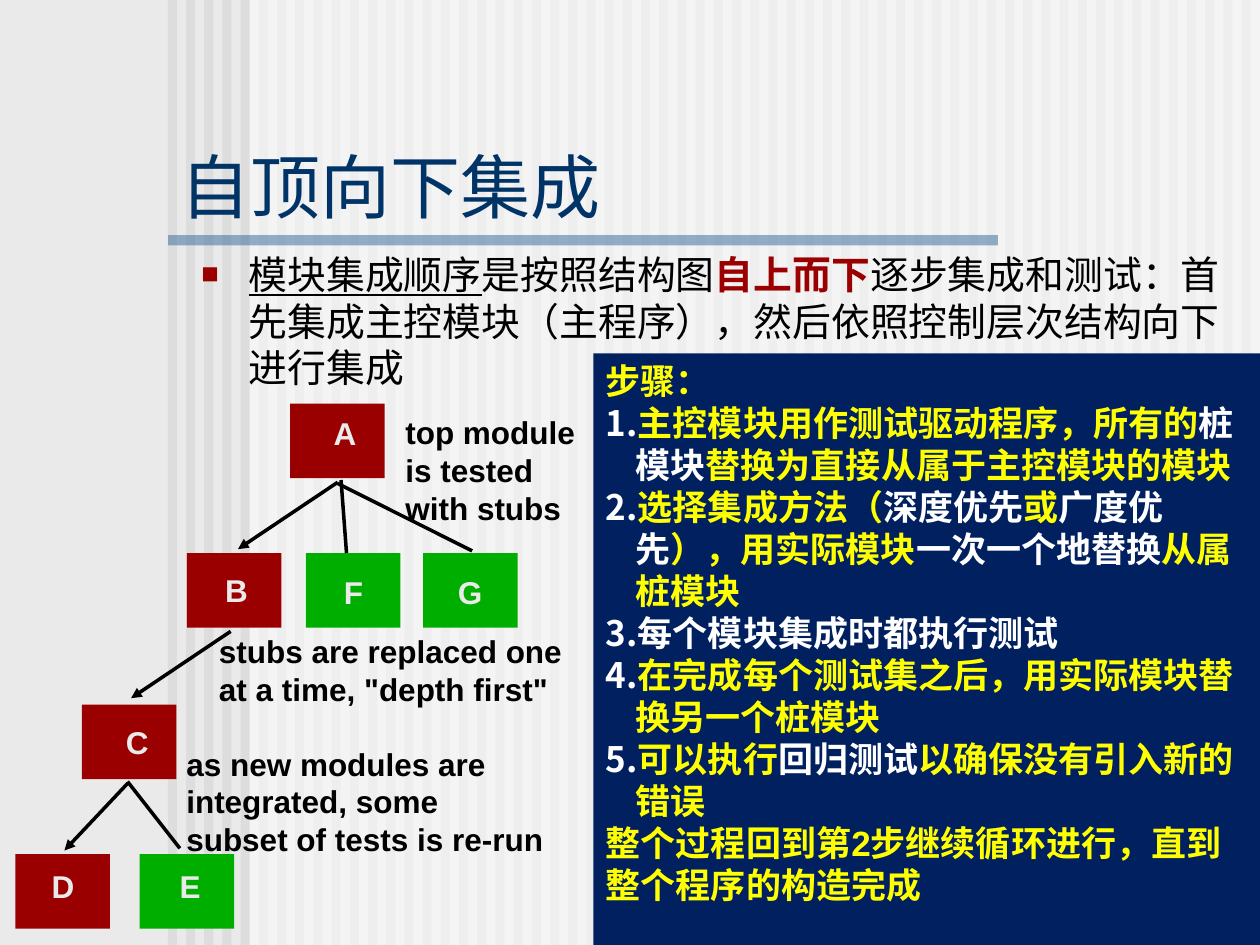
from lxml.etree import SubElement
from pptx import Presentation
from pptx.dml.color import RGBColor
from pptx.enum.shapes import MSO_CONNECTOR, MSO_SHAPE
from pptx.enum.text import MSO_ANCHOR, PP_ALIGN
from pptx.oxml.ns import qn
from pptx.util import Pt

BACKGROUND = RGBColor(0xEA, 0xEA, 0xEA)
STRIPE = RGBColor(0xDD, 0xDD, 0xDD)
WHITE = RGBColor(0xFF, 0xFF, 0xFF)
BLACK = RGBColor(0, 0, 0)
RULE_BLUE = RGBColor(0x33, 0x66, 0x99)
TITLE_BLUE = RGBColor(0x00, 0x33, 0x66)
PANEL_BLUE = RGBColor(0x00, 0x20, 0x60)
RED = RGBColor(0x9A, 0, 0)
GREEN = RGBColor(0, 0xAE, 0)
YELLOW = RGBColor(0xFF, 0xFF, 0)

presentation = Presentation()
presentation.slide_width, presentation.slide_height = Pt(720), Pt(540)
slide = presentation.slides.add_slide(presentation.slide_layouts[6])
slide.background.fill.solid()
slide.background.fill.fore_color.rgb = BACKGROUND


def add_rectangle(left, top, width, height, color, opacity=100):
    shape = slide.shapes.add_shape(
        MSO_SHAPE.RECTANGLE, Pt(left), Pt(top), Pt(width), Pt(height))
    shape.shadow.inherit = False
    shape.fill.solid()
    shape.fill.fore_color.rgb = color
    shape.line.fill.background()
    if opacity < 100:
        color_element = shape.fill._xPr.find(qn("a:solidFill"))[0]
        SubElement(color_element, qn("a:alpha"), val=str(opacity * 1000))
    return shape


def add_run(paragraph, text, size, color, bold=False):
    run = paragraph.add_run()
    run.text = text
    run.font.name = "Arial"
    run.font.size = Pt(size)
    run.font.bold = bold
    run.font.color.rgb = color
    return run


# Striped background
for index in range(60):
    add_rectangle(95.9 + index * 10.4, 0, 5.2, 540, STRIPE)
add_rectangle(142.6, 0, 577.4, 540, WHITE, 50)
add_rectangle(96, 134.4, 474.2, 5.8, RULE_BLUE, 50)

# Introduction with a square bullet
introduction = slide.shapes.add_textbox(Pt(108), Pt(139.7), Pt(612), Pt(89))
introduction.text_frame.word_wrap = True
paragraph = introduction.text_frame.paragraphs[0]
properties = paragraph._p.get_or_add_pPr()
properties.set("marL", str(Pt(27)))
properties.set("indent", str(Pt(-27)))
bullet_color = SubElement(properties, qn("a:buClr"))
SubElement(bullet_color, qn("a:srgbClr"), val=str(RED))
SubElement(properties, qn("a:buSzPct"), val="75000")
SubElement(properties, qn("a:buFont"), typeface="Arial")
SubElement(properties, qn("a:buChar"), char="■")
add_run(paragraph, "模块集成顺序", 22.2, BLACK).font.underline = True
add_run(paragraph, "是按照结构图", 22.2, BLACK)
add_run(paragraph, "自上而下", 22.2, RED, True)
add_run(paragraph, "逐步集成和测试：首先集成主控模块（主程序），然后依照控制层次结构向下进行集成",
        22.2, BLACK)

title = slide.shapes.add_textbox(Pt(96), Pt(83.6), Pt(624), Pt(50))
title.text_frame.word_wrap = True
title.text_frame.vertical_anchor = MSO_ANCHOR.BOTTOM
add_run(title.text_frame.paragraphs[0], "自顶向下集成", 40, TITLE_BLUE)

# Module tree: name, box left and top, label left and top, colour
modules = [
    ("A", 165.8, 230.6, 183.6, 233.3, RED),
    ("B", 106.8, 316, 121.6, 322.9, RED),
    ("C", 46.8, 402.7, 64.8, 409.9, RED),
    ("D", 8.8, 488, 22.4, 492, RED),
    ("E", 79.8, 488, 95.6, 492, GREEN),
    ("F", 174.8, 316, 189.4, 324, GREEN),
    ("G", 241.8, 316, 254.6, 324, GREEN),
]
for name, left, top, label_left, label_top, color in modules:
    add_rectangle(left, top, 54, 42.6, color)

# Links: start, end, arrowhead
links = [
    (72.9, 446.6, 102.8, 484.8, False),
    (194.9, 274.3, 198, 316, False),
    (193, 276.3, 269.8, 314.8, False),
    (193, 275.6, 136, 313.8, True),
    (131.8, 360.8, 74.9, 399, True),
    (73, 447.6, 36.8, 486, True),
]
for start_x, start_y, end_x, end_y, arrow in links:
    connector = slide.shapes.add_connector(
        MSO_CONNECTOR.STRAIGHT, Pt(start_x), Pt(start_y), Pt(end_x), Pt(end_y))
    connector.line.color.rgb = BLACK
    connector.line.width = Pt(2)
    if arrow:
        SubElement(connector.line._get_or_add_ln(), qn("a:tailEnd"), type="triangle")
    SubElement(connector._element.spPr, qn("a:effectLst"))

notes = [
    ("top module is tested with stubs", 224.6, 232.6, 122.4, 72),
    ('stubs are replaced one at a time, "depth first"', 118, 357.6, 214, 50.4),
    ("as new modules are integrated, some subset of tests is re-run",
     99.4, 422, 220.3, 93.6),
]
for text, left, top, width, height in notes:
    note = slide.shapes.add_textbox(Pt(left), Pt(top), Pt(width), Pt(height))
    note.text_frame.word_wrap = True
    add_run(note.text_frame.paragraphs[0], text, 18, BLACK, True)

for name, left, top, label_left, label_top, color in modules:
    label = slide.shapes.add_textbox(Pt(label_left), Pt(label_top), Pt(27.4), Pt(28.8))
    label.text_frame.word_wrap = False
    add_run(label.text_frame.paragraphs[0], name, 18, BACKGROUND, True)

# Steps panel: numbered or not, then runs of text
steps = [
    (False, [("步骤：", YELLOW)]),
    (True, [("主控模块用作测试驱动程序，所有的", YELLOW), ("桩模块", WHITE),
            ("替换为直接从属于主控模块的模块", YELLOW)]),
    (True, [("选择集成方法（", YELLOW), ("深度优先", WHITE), ("或", YELLOW),
            ("广度优先", WHITE), ("），用实际模块", YELLOW),
            ("一次一个地替换", WHITE), ("从属桩模块", YELLOW)]),
    (True, [("每个模块集成时都执行测试", WHITE)]),
    (True, [("在完成每个测试集之后，用实际模块替换另一个桩模块", YELLOW)]),
    (True, [("可以执行", YELLOW), ("回归测试", WHITE),
            ("以确保没有引入新的错误", YELLOW)]),
    (False, [("整个过程回到第2步继续循环进行，直到整个程序的构造完成", YELLOW)]),
]
panel = add_rectangle(339.1, 202, 380.9, 338, PANEL_BLUE)
frame = panel.text_frame
frame.word_wrap = True
frame.vertical_anchor = MSO_ANCHOR.TOP
for index, (numbered, runs) in enumerate(steps):
    paragraph = frame.add_paragraph() if index else frame.paragraphs[0]
    paragraph.alignment = PP_ALIGN.LEFT
    properties = paragraph._p.get_or_add_pPr()
    properties.set("hangingPunct", "0")
    if numbered:
        properties.set("marL", str(Pt(17)))
        properties.set("indent", str(Pt(-17)))
        number_color = SubElement(properties, qn("a:buClr"))
        SubElement(number_color, qn("a:srgbClr"), val=str(WHITE))
        SubElement(properties, qn("a:buFont"), typeface="Arial")
        SubElement(properties, qn("a:buAutoNum"), type="arabicPeriod")
    for text, color in runs:
        add_run(paragraph, text, 20, color, True)

presentation.save("out.pptx")
